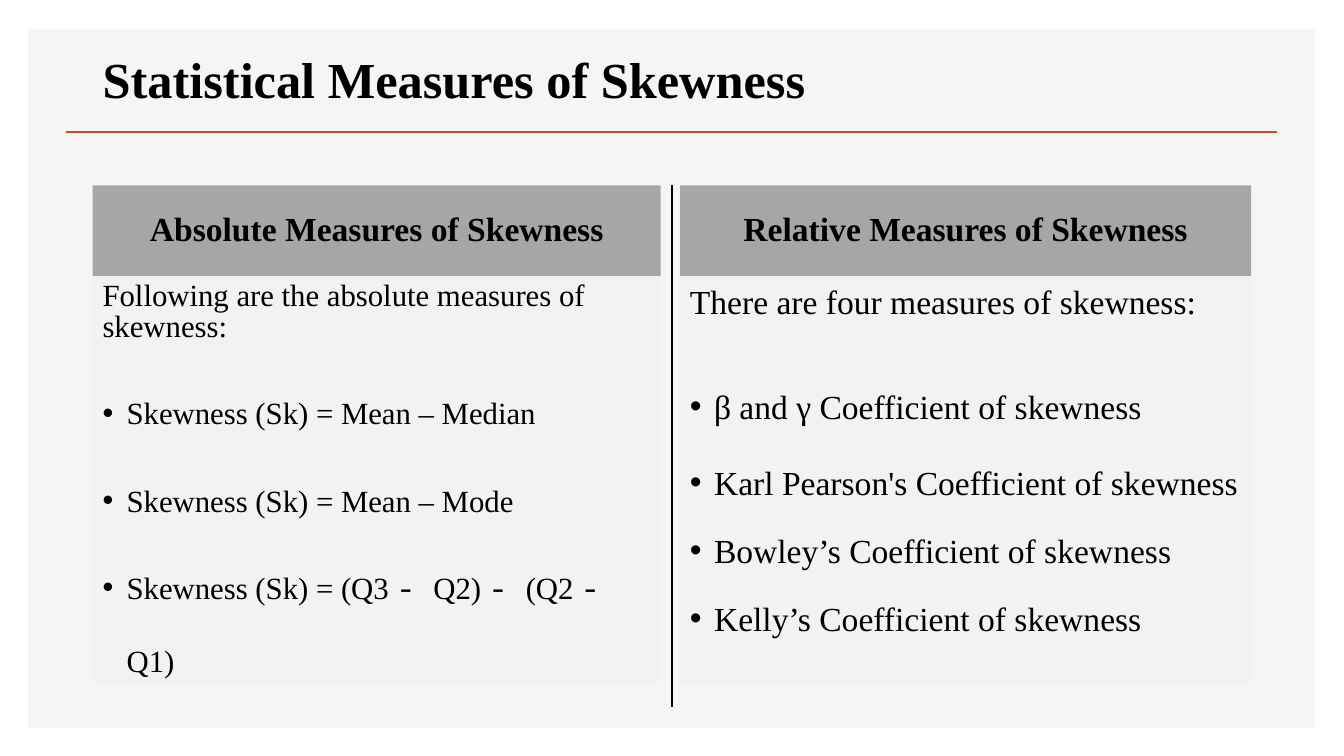
import pptx
import pptx.dml.color
import pptx.enum.shapes
import pptx.enum.text
import pptx.oxml.ns
import pptx.util
from lxml import etree

Pt = pptx.util.Pt
RGBColor = pptx.dml.color.RGBColor
ALIGN = pptx.enum.text.PP_ALIGN
ANCHOR = pptx.enum.text.MSO_ANCHOR
qn = pptx.oxml.ns.qn

BLACK = RGBColor(0x00, 0x00, 0x00)
ORANGE = RGBColor(0xD2, 0x47, 0x26)
PAGE_GREY = RGBColor(0xF5, 0xF5, 0xF5)
HEADER_GREY = RGBColor(0xA6, 0xA6, 0xA6)
BODY_GREY = RGBColor(0xF2, 0xF2, 0xF2)

SERIF = "Times New Roman"
MONO = "Noto Sans Mono"
HEADER_HEIGHT = 64.8
BULLET_INDENT = 17.2

# Each line: text runs, bulleted, line spacing, space before
ABSOLUTE_LINES = [
    (["Following are the absolute measures of skewness:"], False, 0.85, 0),
    (["Skewness (Sk) = Mean – Median"], True, 1.98, 10),
    (["Skewness (Sk) = Mean – Mode"], True, 1.98, 10),
    (["Skewness (Sk) = (Q3 ", "- ", "Q2) ", "- ", "(Q2 ", "- ", "Q1)"], True, 1.98, 10),
]
RELATIVE_LINES = [
    (["There are four measures of skewness:"], False, 1, 0),
    (["β and γ Coefficient of skewness"], True, 1.55, 30),
    (["Karl Pearson's Coefficient of skewness"], True, 1.55, 10),
    (["Bowley’s Coefficient of skewness"], True, 1.55, 4),
    (["Kelly’s Coefficient of skewness"], True, 1.55, 4),
]


def add_run(para, text, size, bold=False, font=SERIF):
    span = para.add_run()
    span.text = text
    span.font.name = font
    span.font.size = Pt(size)
    span.font.bold = bold
    span.font.color.rgb = BLACK


def add_block(page, left, top, width, height, fill):
    block = page.shapes.add_shape(
        pptx.enum.shapes.MSO_SHAPE.RECTANGLE, Pt(left), Pt(top), Pt(width), Pt(height))
    block.shadow.inherit = False
    block.fill.solid()
    block.fill.fore_color.rgb = fill
    block.line.fill.background()
    return block


def add_line(page, x1, y1, x2, y2, color, weight):
    line = page.shapes.add_connector(
        pptx.enum.shapes.MSO_CONNECTOR.STRAIGHT, Pt(x1), Pt(y1), Pt(x2), Pt(y2))
    line.line.color.rgb = color
    line.line.width = Pt(weight)
    etree.SubElement(line._element.spPr, qn("a:effectLst"))


def set_bullet(para):
    properties = para._p.get_or_add_pPr()
    properties.set("marL", str(Pt(BULLET_INDENT)))
    properties.set("indent", str(-Pt(BULLET_INDENT)))
    etree.SubElement(properties, qn("a:buFont")).set("typeface", "Arial")
    etree.SubElement(properties, qn("a:buChar")).set("char", "•")


def add_title(page, left, top, width, height, text):
    title = page.shapes.title
    title.left, title.top, title.width, title.height = Pt(left), Pt(top), Pt(width), Pt(height)
    title.text_frame.vertical_anchor = ANCHOR.MIDDLE
    para = title.text_frame.paragraphs[0]
    para.alignment = ALIGN.LEFT
    para.line_spacing = 0.9
    add_run(para, text, 36, bold=True)


def add_column(page, left, top, width, height, heading, lines, size):
    # Heading band
    header = add_block(page, left, top, width, HEADER_HEIGHT, HEADER_GREY)
    header.text_frame.word_wrap = True
    header.text_frame.vertical_anchor = ANCHOR.MIDDLE
    para = header.text_frame.paragraphs[0]
    para.alignment = ALIGN.CENTER
    para.line_spacing = 0.9
    add_run(para, heading, 24, bold=True)

    # List of measures
    body = add_block(page, left, top + HEADER_HEIGHT, width, height - HEADER_HEIGHT, BODY_GREY)
    frame = body.text_frame
    frame.word_wrap = True
    frame.vertical_anchor = ANCHOR.TOP
    for number, (texts, bulleted, spacing, before) in enumerate(lines):
        para = frame.add_paragraph() if number else frame.paragraphs[0]
        para.alignment = ALIGN.LEFT
        para.line_spacing = spacing
        para.space_before = Pt(before)
        if bulleted:
            set_bullet(para)
        for text in texts:
            add_run(para, text, size, font=MONO if text == "- " else SERIF)


def main():
    deck = pptx.Presentation()
    deck.slide_width, deck.slide_height = Pt(960.5), Pt(540)
    page = deck.slides.add_slide(deck.slide_layouts[5])

    # Backdrop and title rule, behind the title
    backdrop = add_block(page, 20, 21, 920, 499, PAGE_GREY)
    page.shapes._spTree.insert(2, backdrop._element)
    add_line(page, 47.5, 94.3, 912.5, 94.3, ORANGE, 2)
    add_title(page, 66.2, 28.8, 828, 60, "Statistical Measures of Skewness")

    # Two columns with a divider
    add_column(page, 66.2, 132.5, 406, 355,
               "Absolute Measures of Skewness", ABSOLUTE_LINES, 22)
    add_column(page, 486, 132.5, 408.2, 355,
               "Relative Measures of Skewness", RELATIVE_LINES, 24)
    add_line(page, 480.2, 132.5, 480.2, 504.7, BLACK, 1)
    deck.save("out.pptx")


if __name__ == "__main__":
    main()
